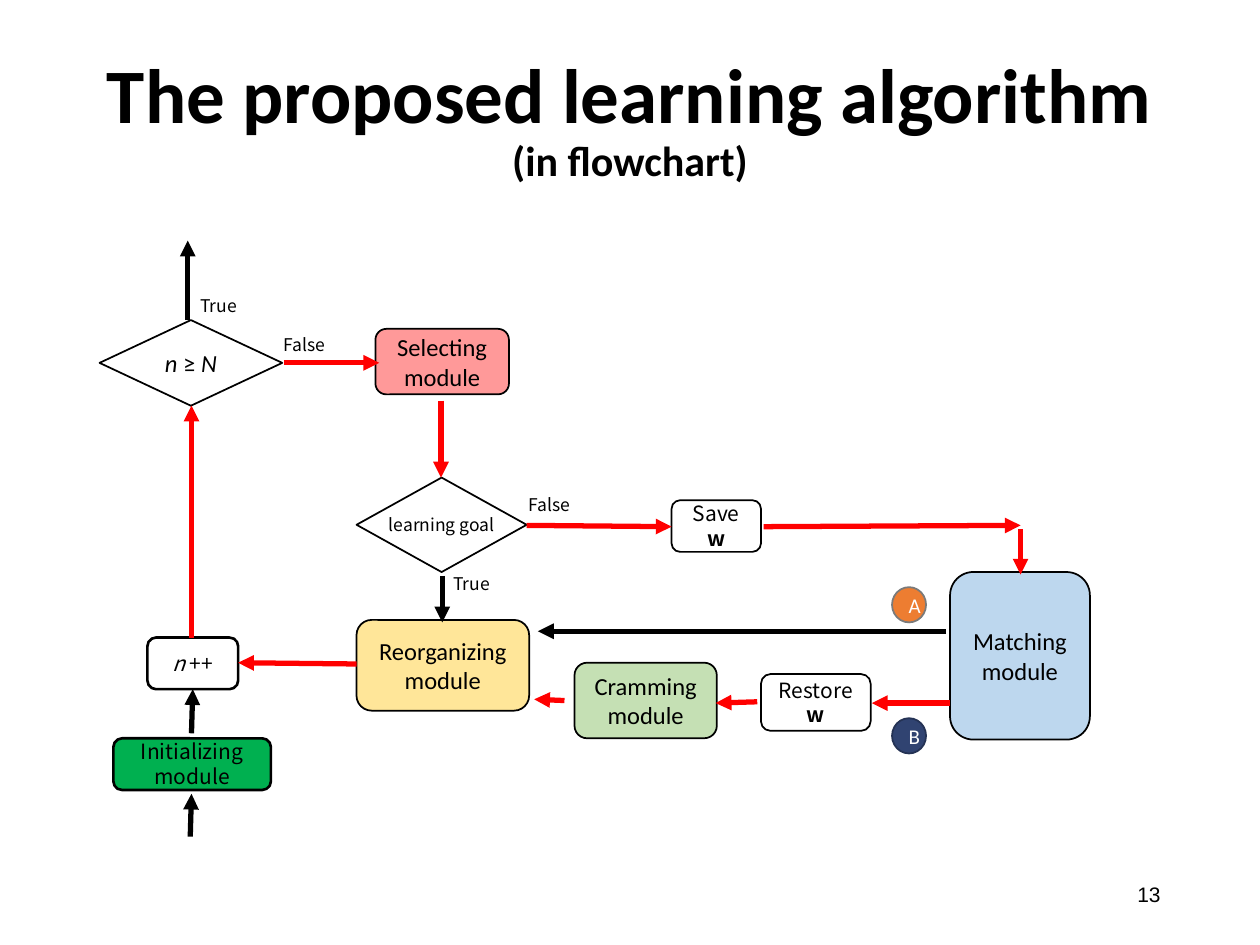
"""Build the flowchart slide of the proposed learning algorithm."""
from lxml import etree
from pptx import Presentation
from pptx import util as u
from pptx.dml.color import RGBColor
from pptx.enum import shapes, text
from pptx.oxml.ns import qn

BLACK, WHITE, RED = "000000", "FFFFFF", "FF0000"
TC, SC, CAL = "Noto Sans CJK TC", "Noto Sans CJK SC", "Calibri"
ROUND, DIAMOND, OVAL = (shapes.MSO_SHAPE.ROUNDED_RECTANGLE, shapes.MSO_SHAPE.DIAMOND,
                        shapes.MSO_SHAPE.OVAL)
WIDE, TIGHT, PADDED = (0.1, 0.05), (0.05, 0.05), (0.13, 0.07)

TITLE = [("The proposed learning algorithm", 44), ("(in flowchart)", 24)]

MODULES = [
    ("Selecting module", (2.98, 2.61, 1.06, 0.52), "FF9999", PADDED),
    ("Reorganizing module", (2.83, 4.92, 1.37, 0.72), "FFE699", WIDE),
    ("Cramming module", (4.56, 5.26, 1.13, 0.6), "C5E0B4", WIDE),
    ("Matching module", (7.54, 4.54, 1.11, 1.33), "BDD7EE", WIDE),
]
STEPS = [
    ([("n", "italic"), (" ++", None)], (1.17, 5.06, 0.72, 0.41), WHITE, 1.5),
    ([("Initializing module", None)], (0.9, 5.86, 1.25, 0.41), "00B050", 1.5),
    ([("Save ", None), ("w", "bold")], (5.33, 3.97, 0.71, 0.41), WHITE, 1),
    ([("Restore ", None), ("w", "bold")], (6.04, 5.35, 0.87, 0.45), WHITE, 1),
]
DECISIONS = [
    ([("n ", "italic"), ("≥ ", None), ("N", "italic")], (0.79, 2.54, 1.45, 0.68), CAL, 14),
    ([("learning goal", None)], (2.83, 3.79, 1.35, 0.75), SC, 10),
]
MARKERS = [
    ("A", (7.08, 4.66, 0.27, 0.28), "ED7D31", "7A7A7A"),
    ("B", (7.08, 5.7, 0.27, 0.28), "304371", "243254"),
]
LABELS = [
    ("True", (1.49, 2.29, 0.55, 0.27)),
    ("False", (2.15, 2.6, 0.59, 0.27)),
    ("False", (4.1, 3.87, 0.53, 0.27)),
    ("True", (3.5, 4.5, 0.53, 0.27)),
]
ARROWS = {
    BLACK: [
        (1.51, 6.64, 1.52, 6.3), (1.52, 5.82, 1.53, 5.47), (1.49, 2.54, 1.49, 1.91),
        (3.51, 4.57, 3.51, 4.94), (7.51, 5.01, 4.27, 5.01),
    ],
    RED: [
        (1.52, 5.06, 1.52, 3.22), (2.25, 2.88, 3.01, 2.88), (3.5, 3.18, 3.5, 3.79),
        (4.18, 4.17, 5.33, 4.18), (6.06, 4.18, 8.1, 4.17), (8.1, 4.2, 8.1, 4.56),
        (7.54, 5.58, 6.92, 5.58), (6.01, 5.57, 5.68, 5.58), (4.48, 5.56, 4.24, 5.55),
        (2.83, 5.27, 1.89, 5.26),
    ],
}


def rgb(color):
    return RGBColor.from_string(color)


def inches(values):
    return [u.Inches(v) for v in values]


def set_all(obj, values):
    for name, value in values.items():
        setattr(obj, name, value)


def set_frame(tf, inset=WIDE, wrap=True, anchor=text.MSO_ANCHOR.MIDDLE):
    x, y = inches(inset)
    set_all(tf, dict(margin_left=x, margin_right=x, margin_top=y, margin_bottom=y,
                     auto_size=text.MSO_AUTO_SIZE.NONE, word_wrap=wrap,
                     vertical_anchor=anchor))


def write(p, runs, font, size, color=BLACK, align=text.PP_ALIGN.CENTER, bold=False):
    p.alignment = align
    for words, style in runs:
        r = p.add_run()
        r.text = words
        set_all(r.font, dict(name=font, size=u.Pt(size), bold=bold, italic=False))
        if style:
            setattr(r.font, style, True)
        r.font.color.rgb = rgb(color)


def add_node(s, kind, box, fill, runs, font, size, line=BLACK, width=1,
             color=BLACK, inset=WIDE, wrap=True):
    sp = s.shapes.add_shape(kind, *inches(box))
    sp.shadow.inherit = False
    sp.fill.solid()
    sp.fill.fore_color.rgb = rgb(fill)
    sp.line.color.rgb = rgb(line)
    sp.line.width = u.Pt(width)
    set_frame(sp.text_frame, inset, wrap)
    p = sp.text_frame.paragraphs[0]
    write(p, runs, font, size, color)
    return p


def add_label(s, words, box, font, size, align):
    tf = s.shapes.add_textbox(*inches(box)).text_frame
    set_frame(tf, anchor=text.MSO_ANCHOR.TOP)
    write(tf.paragraphs[0], [(words, None)], font, size, align=align)


def add_arrow(s, ends, color):
    c = s.shapes.add_connector(shapes.MSO_CONNECTOR.STRAIGHT, *inches(ends))
    c.line.color.rgb = rgb(color)
    c.line.width = u.Pt(3)
    etree.SubElement(c.line._get_or_add_ln(), qn("a:tailEnd"), type="triangle")
    etree.SubElement(c._element.spPr, qn("a:effectLst"))


def add_title(s):
    sp = s.shapes.title
    set_all(sp, dict(zip(("left", "top", "width", "height"),
                         inches((0.69, 0.4, 8.62, 1.45)))))
    tf = sp.text_frame
    set_frame(tf, anchor=text.MSO_ANCHOR.TOP)
    for i, (words, size) in enumerate(TITLE):
        p = tf.add_paragraph() if i else tf.paragraphs[0]
        set_all(p, dict(line_spacing=0.9, space_before=u.Pt(0)))
        write(p, [(words, None)], CAL, size, bold=True)


def main():
    prs = Presentation()
    prs.slide_width, prs.slide_height = inches((10, 7.5))
    s = prs.slides.add_slide(prs.slide_layouts[5])
    add_title(s)
    for words, box, fill, inset in MODULES:
        add_node(s, ROUND, box, fill, [(words, None)], CAL, 14, inset=inset)
    for runs, box, fill, width in STEPS:
        p = add_node(s, ROUND, box, fill, runs, TC, 12, width=width)
        p.line_spacing = u.Pt(14)
    for runs, box, font, size in DECISIONS:
        add_node(s, DIAMOND, box, WHITE, runs, font, size, inset=TIGHT, wrap=False)
    for words, box, fill, line in MARKERS:
        add_node(s, OVAL, box, fill, [(words, None)], CAL, 12, line, color=WHITE)
    for words, box in LABELS:
        add_label(s, words, box, TC, 10, text.PP_ALIGN.LEFT)
    for color, arrows in ARROWS.items():
        for ends in arrows:
            add_arrow(s, ends, color)
    add_label(s, "13", (7.06, 6.95, 2.25, 0.4), "Arial", 12, text.PP_ALIGN.RIGHT)
    prs.save("out.pptx")


if __name__ == "__main__":
    main()
